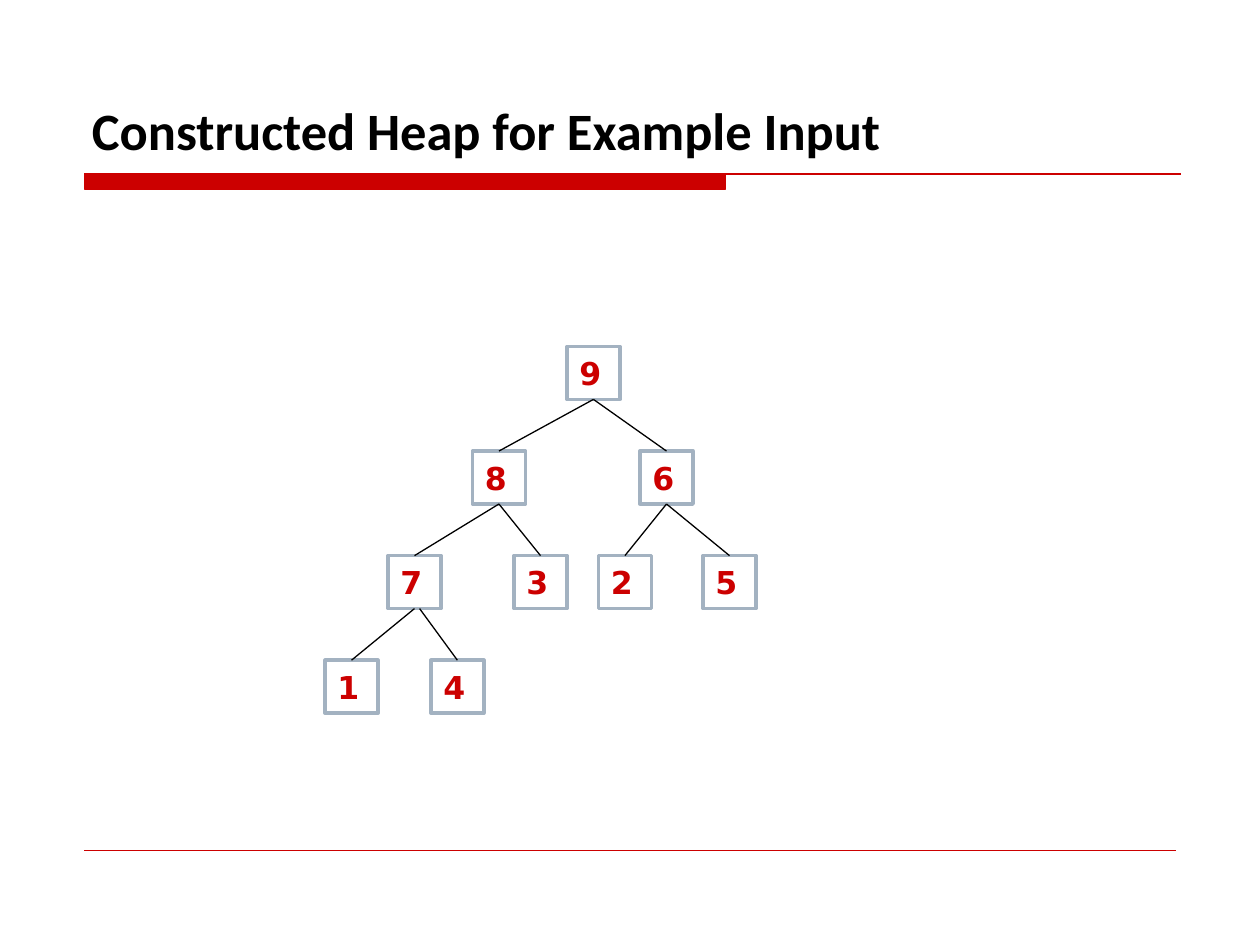
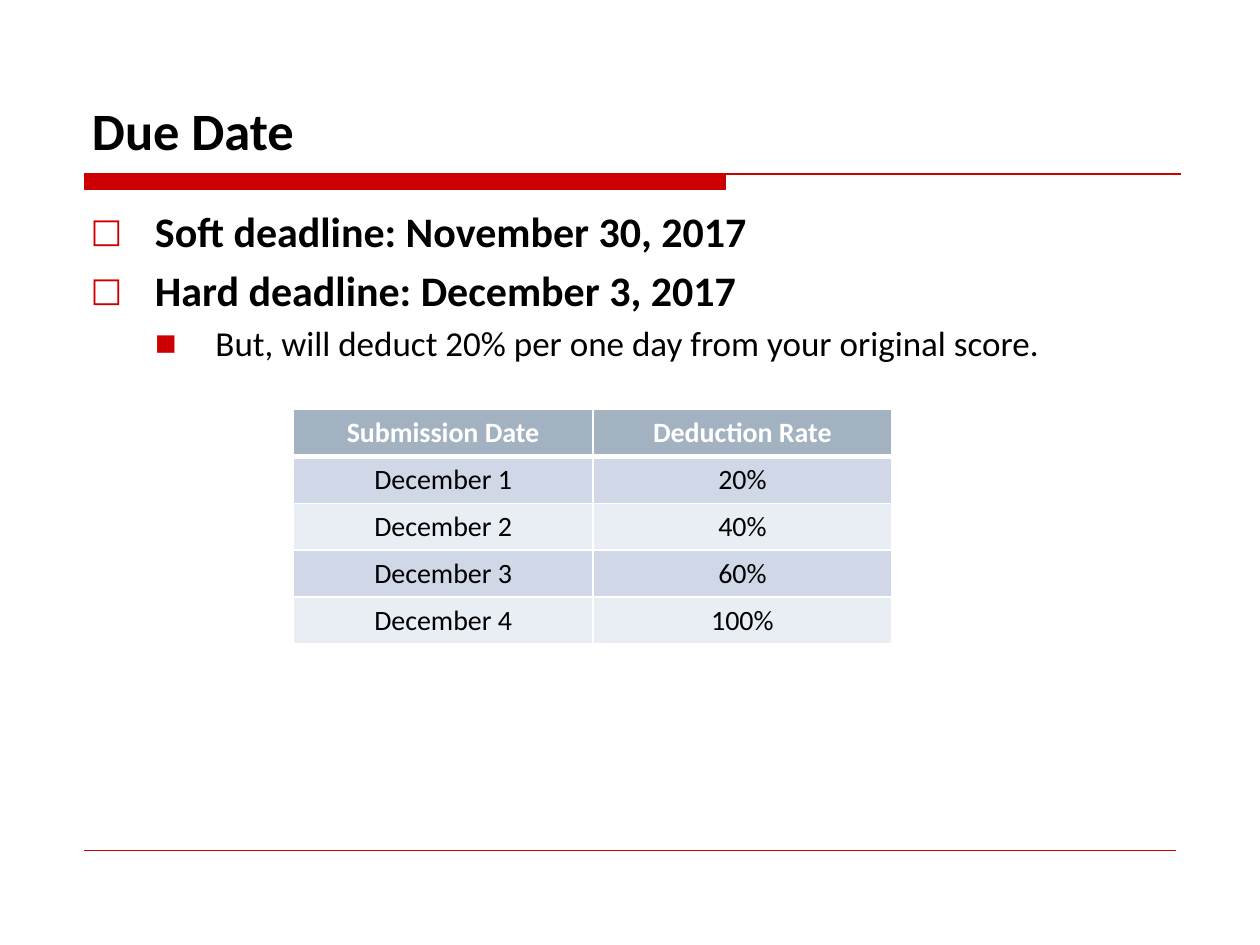
"""Build two course slides: a heap drawn as a tree, and the due dates."""
import dataclasses

import lxml.etree
import pptx
import pptx.dml.color
import pptx.enum.shapes
import pptx.enum.text
import pptx.oxml.ns
import pptx.util

Inches = pptx.util.Inches
Pt = pptx.util.Pt
ALIGN = pptx.enum.text.PP_ALIGN
ANCHOR = pptx.enum.text.MSO_ANCHOR


@dataclasses.dataclass(frozen=True)
class Theme:
    """Hold the colours, fonts and type sizes of the deck."""
    red: str = "CC0000"
    steel: str = "A3B2C1"
    black: str = "000000"
    white: str = "FFFFFF"
    bands: tuple = ("D0D8E8", "E9EDF4")
    sans: str = "Calibri"
    mono: str = "DejaVu Sans"
    title: int = 30
    lead: int = 24
    sub: int = 20
    node: int = 18
    cell: int = 16


THEME = Theme()
SIDE = 0.42
TOP = 2.75
STEP = 0.83
HEAP = [("9", 4.5, 0), ("8", 3.75, 0), ("6", 5.08, 0), ("7", 3.08, 0),
        ("3", 4.08, 0), ("2", 4.75, 0), ("5", 5.58, 0), ("1", 2.58, 0),
        ("4", 3.42, 0.04)]
POINTS = [("Soft deadline: November 30, 2017", 0),
          ("Hard deadline: December 3, 2017", 0),
          ("But, will deduct 20% per one day from your original score.", 1)]
RATES = [("Submission Date", "Deduction Rate"), ("December 1", "20%"),
         ("December 2", "40%"), ("December 3", "60%"), ("December 4", "100%")]


def paint(fmt, tone):
    """Give a fill a solid colour."""
    fmt.solid()
    fmt.fore_color.rgb = pptx.dml.color.RGBColor.from_string(tone)


def style(para, size, tone, bold=False, face=THEME.sans):
    """Set the font of a paragraph."""
    font = para.font
    font.name, font.size, font.bold = face, Pt(size), bold
    font.color.rgb = pptx.dml.color.RGBColor.from_string(tone)


def child(node, tag, **attrs):
    """Append a DrawingML element to a node."""
    return lxml.etree.SubElement(node, pptx.oxml.ns.qn("a:" + tag), attrs)


def place(shape, left, top, width, height):
    """Move and size a placeholder."""
    shape.left, shape.top = Inches(left), Inches(top)
    shape.width, shape.height = Inches(width), Inches(height)
    shape.text_frame.auto_size = pptx.enum.text.MSO_AUTO_SIZE.NONE


def line(slide, start, end, tone, width):
    """Draw a straight line without a shadow."""
    kind = pptx.enum.shapes.MSO_CONNECTOR.STRAIGHT
    link = slide.shapes.add_connector(kind, *map(Inches, start + end))
    paint(link.line.fill, tone)
    link.line.width = Pt(width)
    child(link.element.spPr, "effectLst")


def band(slide):
    """Draw the red bar with its thin rule below the title."""
    left, top, mid, right, base = map(Inches, (0.67, 1.38, 5.76, 9.37, 1.5))
    pen = slide.shapes.build_freeform(left, top)
    pen.add_line_segments([(mid, top), (mid, base), (left, base)], close=True)
    pen.move_to(left, top)
    pen.add_line_segments([(right, top)], close=False)
    bar = pen.convert_to_shape()
    bar.shadow.inherit = False
    paint(bar.fill, THEME.red)
    paint(bar.line.fill, THEME.red)
    bar.line.width = Pt(0.75)


def page(deck, layout, title):
    """Add a slide with the shared title, band and foot rule."""
    slide = deck.slides.add_slide(deck.slide_layouts[layout])
    band(slide)
    line(slide, (0.67, 6.75), (9.33, 6.75), THEME.red, 0.25)
    head = slide.shapes.title
    place(head, 0.63, 0.58, 8.75, 0.75)
    head.text_frame.text = title
    head.text_frame.vertical_anchor = ANCHOR.BOTTOM
    para = head.text_frame.paragraphs[0]
    para.alignment = ALIGN.LEFT
    style(para, THEME.title, THEME.black, True)
    return slide


def box(slide, key, left, top):
    """Draw one heap node."""
    kind = pptx.enum.shapes.MSO_SHAPE.RECTANGLE
    spot = map(Inches, (left, top, SIDE, SIDE))
    shape = slide.shapes.add_shape(kind, *spot)
    shape.shadow.inherit = False
    paint(shape.fill, THEME.white)
    paint(shape.line.fill, THEME.steel)
    shape.line.width = Pt(2)
    shape.text_frame.text = key
    shape.text_frame.vertical_anchor = ANCHOR.MIDDLE
    para = shape.text_frame.paragraphs[0]
    para.alignment = ALIGN.LEFT
    style(para, THEME.node, THEME.red, True, THEME.mono)


def tree(slide, heap):
    """Draw an array heap as a tree, each node linked to its parent."""
    tops = [TOP + STEP * ((i + 1).bit_length() - 1) for i in range(len(heap))]
    for (key, left, _), top in zip(heap, tops):
        box(slide, key, left, top)
    for i, (_, left, shift) in enumerate(heap[1:], 1):
        root = (i - 1) // 2
        start = (heap[root][1] + SIDE / 2 + shift, tops[root] + SIDE)
        line(slide, start, (left + SIDE / 2, tops[i]), THEME.black, 0.75)


def bullet(para, mark, size, left, hang):
    """Give a paragraph a red bullet and a hanging indent."""
    props = para._p.get_or_add_pPr()
    props.set("marL", str(Inches(left)))
    props.set("indent", str(-Inches(hang)))
    child(child(props, "buClr"), "srgbClr", val=THEME.red)
    child(props, "buSzPct", val=str(size * 1000))
    child(props, "buFont", typeface=THEME.mono)
    child(props, "buChar", char=mark)


def points(slide, items):
    """Fill the body placeholder with a two-level list."""
    body = slide.placeholders[1]
    place(body, 0.62, 1.58, 8.75, 5)
    frame = body.text_frame
    for i, (text, level) in enumerate(items):
        para = frame.add_paragraph() if i else frame.paragraphs[0]
        para.text, para.level = text, level
        if level:
            bullet(para, "■", 65, 0.99, 0.48)
            style(para, THEME.sub, THEME.black)
        else:
            bullet(para, "□", 80, 0.51, 0.51)
            style(para, THEME.lead, THEME.black, True)


def edges(cell, widths):
    """Draw white borders around a cell."""
    props = cell._tc.get_or_add_tcPr()
    for side, width in zip("LRTB", widths):
        edge = child(props, "ln" + side, w=str(Pt(width)))
        child(child(edge, "solidFill"), "srgbClr", val=THEME.white)


def grid(slide, rows):
    """Draw a banded table with a header row."""
    spot = map(Inches, (2.33, 3.25, 4.75, 0.37 * len(rows)))
    table = slide.shapes.add_table(len(rows), len(rows[0]), *spot).table
    for r, row in enumerate(rows):
        for c, text in enumerate(row):
            cell = table.cell(r, c)
            edges(cell, (1, 1, 3 if r == 1 else 1, 1 if r else 3))
            paint(cell.fill, THEME.bands[(r - 1) % 2] if r else THEME.steel)
            cell.text = text
            para = cell.text_frame.paragraphs[0]
            para.alignment = ALIGN.CENTER
            style(para, THEME.cell, THEME.black if r else THEME.white, not r)


def main():
    """Build and save the deck."""
    deck = pptx.Presentation()
    deck.slide_width, deck.slide_height = Inches(10), Inches(7.5)
    tree(page(deck, 5, "Constructed Heap for Example Input"), HEAP)
    due = page(deck, 1, "Due Date")
    points(due, POINTS)
    grid(due, RATES)
    deck.save("out.pptx")


main()
